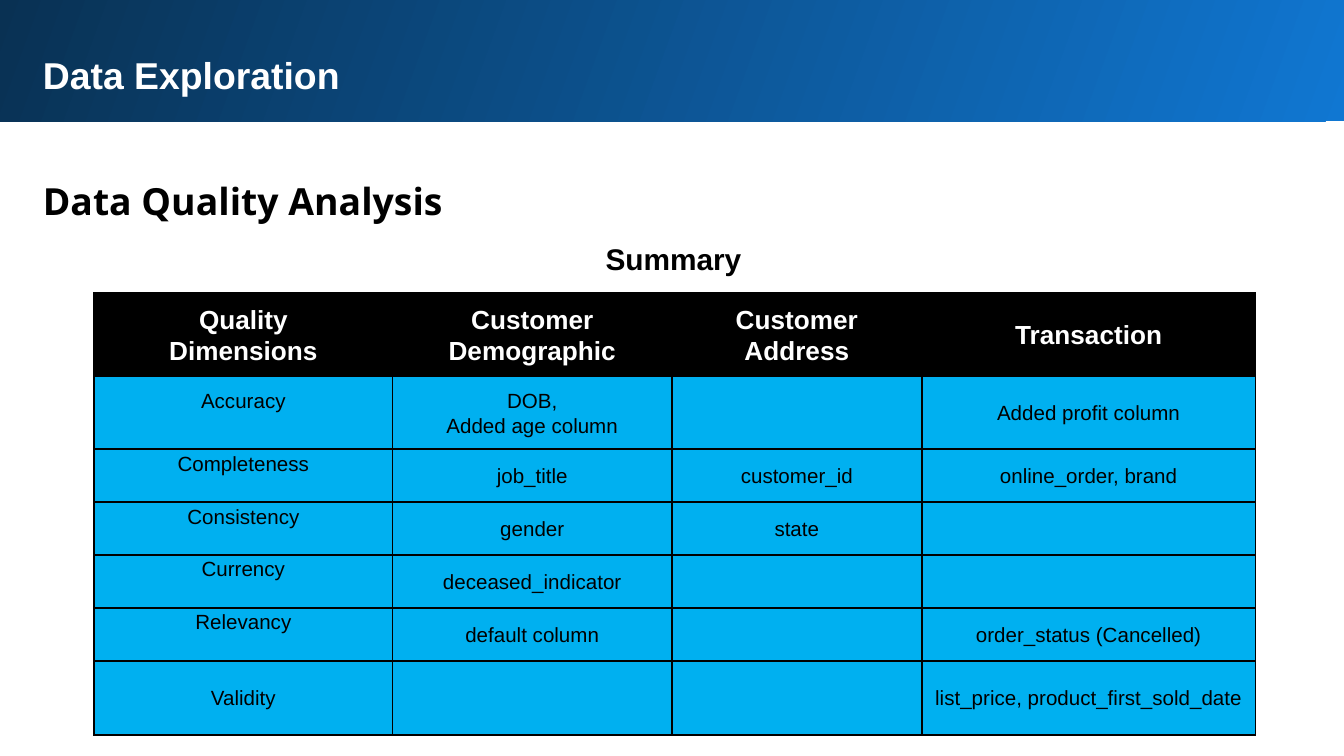
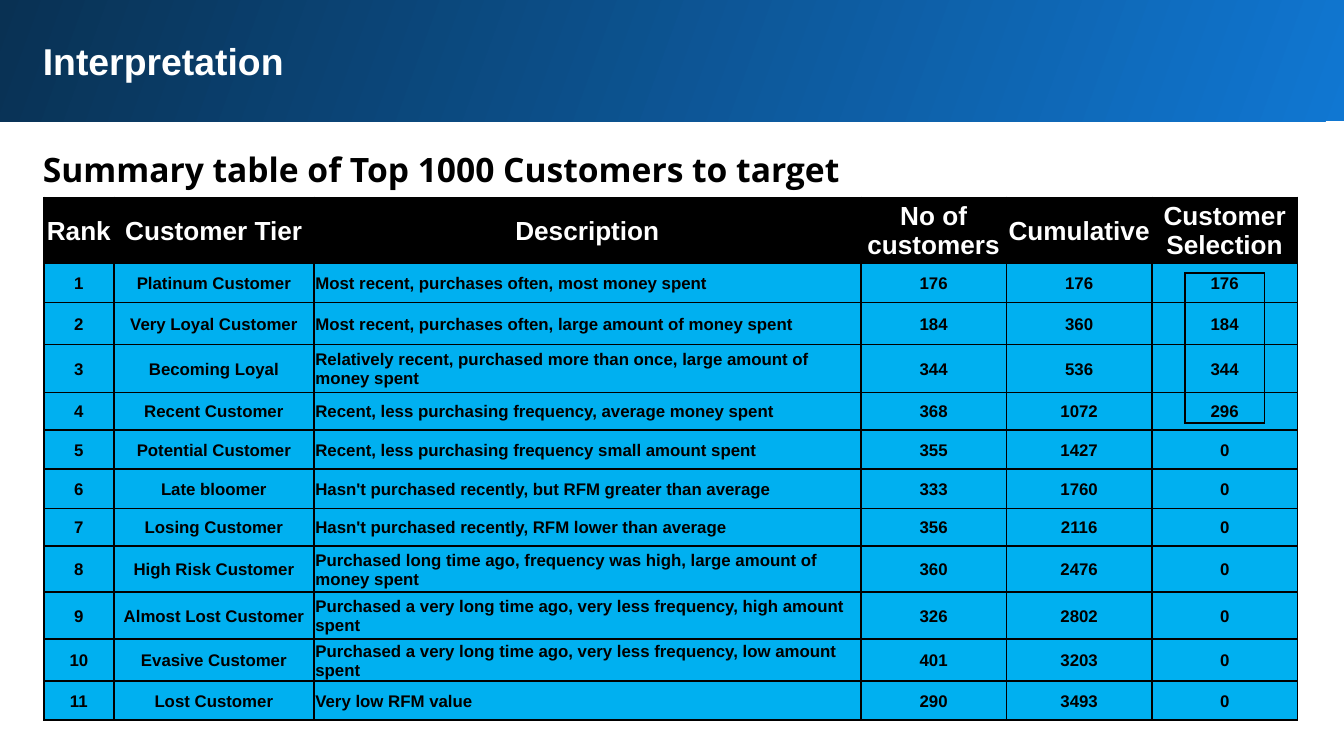
from lxml import etree
from pptx import Presentation
from pptx.dml.color import RGBColor
from pptx.enum import shapes, text
from pptx.oxml import ns
from pptx.util import Cm, Pt

WHITE = RGBColor(0xFF, 0xFF, 0xFF)
BLACK = RGBColor(0x00, 0x00, 0x00)
CELL_BLUE = RGBColor(0x00, 0xB0, 0xF0)
BAND_LIGHT = RGBColor(0x10, 0x77, 0xD2)
BAND_DARK = RGBColor(0x09, 0x31, 0x53)
CENTER, LEFT = text.PP_ALIGN.CENTER, text.PP_ALIGN.LEFT


def set_text(shape, wording, box, size, color=BLACK, font="Arial",
             align=LEFT, spacing=1.0, inset=0.25):
    """Place a one-paragraph text shape and format it."""
    shape.left, shape.top, shape.width, shape.height = [Cm(v) for v in box]
    frame = shape.text_frame
    frame.text = wording
    frame.word_wrap = True
    frame.auto_size = text.MSO_AUTO_SIZE.SHAPE_TO_FIT_TEXT
    frame.vertical_anchor = text.MSO_ANCHOR.TOP
    frame.margin_left = frame.margin_right = Cm(inset)
    frame.margin_top = frame.margin_bottom = Cm(inset)
    paragraph = frame.paragraphs[0]
    paragraph.alignment = align
    paragraph.line_spacing = spacing
    paragraph.font.name = font
    paragraph.font.size = Pt(size)
    paragraph.font.bold = True
    paragraph.font.color.rgb = color


def add_grid(slide, left, top, widths, heights, rows, margins=(0, 0, 0, 0),
             body_size=9, body_bold=True, spacing=1.0):
    """Add a table with thin black borders, a black header and blue body."""
    table = slide.shapes.add_table(
        len(heights), len(widths), Cm(left), Cm(top),
        Cm(sum(widths)), Cm(sum(heights))).table
    table.first_row = table.horz_banding = False
    for column, width in zip(table.columns, widths):
        column.width = Cm(width)
    for row, height in zip(table.rows, heights):
        row.height = Cm(height)
    for r, values in enumerate(rows):
        for c, value in enumerate(values):
            cell = table.cell(r, c)
            cell.text = value
            cell.vertical_anchor = text.MSO_ANCHOR.MIDDLE
            (cell.margin_left, cell.margin_top,
             cell.margin_right, cell.margin_bottom) = [Cm(m) for m in margins]
            for paragraph in cell.text_frame.paragraphs:
                paragraph.alignment = CENTER
                paragraph.line_spacing = spacing
                paragraph.font.name = "Arial"
                paragraph.font.size = Pt(body_size if r else 14)
                paragraph.font.bold = body_bold or r == 0
                paragraph.font.color.rgb = BLACK if r else WHITE
            properties = cell._tc.get_or_add_tcPr()
            for side in ("a:lnL", "a:lnR", "a:lnT", "a:lnB"):
                line = etree.SubElement(properties, ns.qn(side), w=str(Pt(1)))
                fill = etree.SubElement(line, ns.qn("a:solidFill"))
                etree.SubElement(fill, ns.qn("a:srgbClr"), val=str(BLACK))
            cell.fill.solid()
            cell.fill.fore_color.rgb = CELL_BLUE if r else BLACK
    return table


presentation = Presentation()
presentation.slide_width = Cm(25.4)
presentation.slide_height = Cm(14.29)

# Shared parts: gradient band, title, heading
headings = [
    # title, top, height, heading, top, height, size
    ("Data Exploration", 0.74, 1.3, "Data Quality Analysis", 3, 1.42, 20),
    ("Interpretation", 0.48, 2.11,
     "Summary table of Top 1000 Customers to target", 2.46, 1.32, 18),
]
for title, title_top, title_height, heading, top, height, size in headings:
    slide = presentation.slides.add_slide(presentation.slide_layouts[5])
    band = slide.shapes.add_shape(shapes.MSO_SHAPE.RECTANGLE, Cm(-0.05),
                                  Cm(-0.05), Cm(25.53), Cm(2.34))
    band.shadow.inherit = False
    band.line.fill.background()
    band.fill.gradient()
    band.fill.gradient_angle = 160
    for stop, color in zip(band.fill.gradient_stops, (BAND_LIGHT, BAND_DARK)):
        stop.color.rgb = color
    slide.shapes._spTree.insert(2, band._element)  # behind the title
    set_text(slide.shapes.title, title,
             (0.56, title_top, 23.8, title_height), 20, WHITE)
    set_text(slide.shapes.add_textbox(0, 0, 0, 0), heading,
             (0.56, top, 23.8, height), size, font="Open Sans", spacing=1.15)

quality_slide, customer_slide = presentation.slides

# Slide 1: data quality summary
quality_rows = [
    ("Quality\nDimensions", "Customer Demographic", "Customer\nAddress",
     "Transaction"),
    ("Accuracy", "DOB,\nAdded age column", "", "Added profit column"),
    ("Completeness", "job_title", "customer_id", "online_order, brand"),
    ("Consistency", "gender", "state", ""),
    ("Currency", "deceased_indicator", "", ""),
    ("Relevancy", "default column", "", "order_status (Cancelled)"),
    ("Validity", "", "", "list_price, product_first_sold_date"),
]
quality_table = add_grid(
    quality_slide, 1.78, 5.54, [5.64, 5.28, 4.72, 6.31],
    [1.58, 1.37, 1, 1, 1, 1, 1.4], quality_rows,
    margins=(0.18, 0, 0.18, 0), body_size=11, body_bold=False, spacing=1.07)
for r in range(1, 6):  # dimension names sit half a line high
    quality_table.cell(r, 0).margin_bottom = Cm(0.47)
set_text(quality_slide.shapes.add_textbox(0, 0, 0, 0), "Summary",
         (9.3, 4.42, 6.86, 0.94), 16, align=CENTER, inset=0.13)

# Slide 2: customer tiers
tiers = [
    ("Platinum Customer", "Most recent, purchases often, most money spent",
     176, 176, 176),
    ("Very Loyal Customer",
     "Most recent, purchases often, large amount of money spent",
     184, 360, 184),
    ("Becoming Loyal",
     "Relatively recent, purchased more than once, large amount of money spent",
     344, 536, 344),
    ("Recent Customer",
     "Recent, less purchasing frequency, average money spent",
     368, 1072, 296),
    ("Potential Customer",
     "Recent, less purchasing frequency small amount spent", 355, 1427, 0),
    ("Late bloomer",
     "Hasn't purchased recently, but RFM greater than average", 333, 1760, 0),
    ("Losing Customer",
     "Hasn't purchased recently, RFM lower than average", 356, 2116, 0),
    ("High Risk Customer",
     "Purchased long time ago, frequency was high, large amount of money spent",
     360, 2476, 0),
    ("Almost Lost Customer",
     "Purchased a very long time ago, very less frequency, high amount spent",
     326, 2802, 0),
    ("Evasive Customer",
     "Purchased a very long time ago, very less frequency, low amount spent",
     401, 3203, 0),
    ("Lost Customer", "Very low RFM value", 290, 3493, 0),
]
tier_rows = [("Rank", "Customer Tier", "Description", "No of customers",
              "Cumulative", "Customer Selection")]
for rank, tier in enumerate(tiers, 1):
    tier_rows.append([str(value) for value in (rank, *tier)])
tier_table = add_grid(
    customer_slide, 0.83, 3.73, [1.32, 3.78, 10.34, 2.75, 2.75, 2.75],
    [1.25, 0.74, 0.79, 0.91, 0.71, 0.74, 0.74, 0.71, 0.87, 0.89, 0.77, 0.74],
    tier_rows, margins=(0.03, 0.03, 0.03, 0))
for r in range(1, len(tier_rows)):
    tier_table.cell(r, 2).text_frame.paragraphs[0].alignment = LEFT

# Frame around the selected customers
selection_frame = add_grid(customer_slide, 22.4, 5.16, [1.5], [2.84], [[""]])
selection_frame.cell(0, 0).fill.background()

presentation.save("out.pptx")
